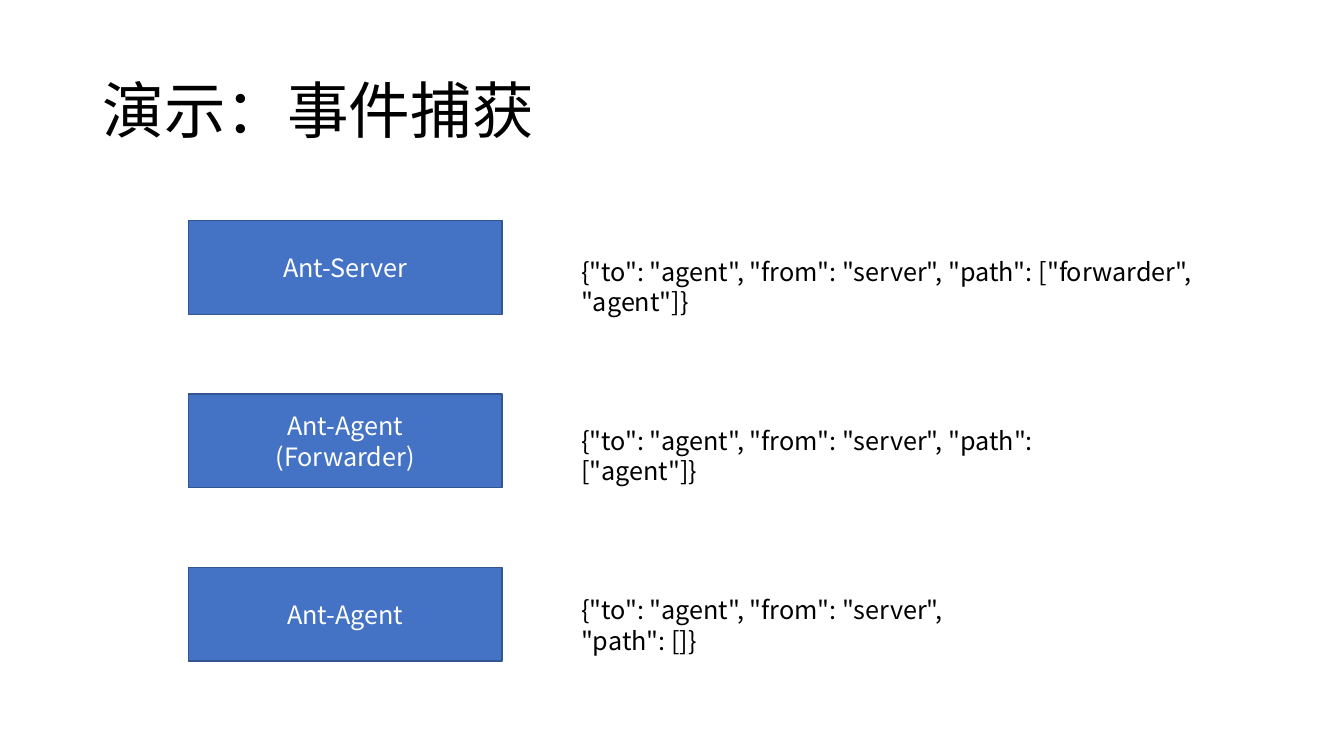
"""Build the event capture demo slide: three nodes and the message each one sees."""
from pptx import Presentation
from pptx.dml.color import RGBColor
from pptx.enum import shapes, text
from pptx.oxml.ns import qn
from pptx.util import Pt

TITLE = "演示：事件捕获"
HOPS = [
    (["Ant-Server"], '{"to": "agent", "from": "server", "path": ["forwarder", "agent"]}', 482),
    (["Ant-Agent", "(Forwarder)"], '{"to": "agent", "from": "server", "path": ["agent"]}', 384),
    (["Ant-Agent"], '{"to": "agent", "from": "server", "path": []}', 327),
]
FONT = "Noto Sans CJK SC"
COLORS = {"node": "4472C4", "edge": "325491", "ink": "000000", "light": "FFFFFF"}
NODE_LEFT, NODE_TOP, NODE_WIDTH, NODE_HEIGHT, NODE_STEP = 134.6, 157.5, 224, 67, 123.9
MESSAGE_LEFT, MESSAGE_TOP, MESSAGE_HEIGHT, MESSAGE_STEP = 408, 179.3, 29, 121


def color(name):
    return RGBColor.from_string(COLORS[name])


def write(shape, lines, size, ink, align, spacing):
    frame = shape.text_frame
    frame.word_wrap = True
    frame.text = "\n".join(lines)
    for paragraph in frame.paragraphs:
        paragraph.alignment = align
        paragraph.line_spacing = spacing
        paragraph.font.size = Pt(size)
        paragraph.font.name = FONT
        paragraph.font.color.rgb = color(ink)
        for run in paragraph.runs:
            east_asian = run.font._element.makeelement(qn("a:ea"), {"typeface": FONT})
            run.font._element.append(east_asian)
    return frame


deck = Presentation()
deck.slide_width, deck.slide_height = Pt(960), Pt(540)
slide = deck.slides.add_slide(deck.slide_layouts[5])

title = slide.shapes.title
title.left, title.top, title.width, title.height = Pt(66), Pt(28.75), Pt(828), Pt(104.4)
heading = write(title, [TITLE], 44, "ink", text.PP_ALIGN.LEFT, 0.9)
heading.vertical_anchor = text.MSO_ANCHOR.MIDDLE

for row, (labels, message, message_width) in enumerate(HOPS):
    node = slide.shapes.add_shape(
        shapes.MSO_SHAPE.RECTANGLE, Pt(NODE_LEFT), Pt(NODE_TOP + row * NODE_STEP),
        Pt(NODE_WIDTH), Pt(NODE_HEIGHT))
    node.shadow.inherit = False
    node.fill.solid()
    node.fill.fore_color.rgb = color("node")
    node.line.color.rgb = color("edge")
    node.line.width = Pt(1)
    label = write(node, labels, 18, "light", text.PP_ALIGN.CENTER, 1.0)
    label.vertical_anchor = text.MSO_ANCHOR.MIDDLE

    event = slide.shapes.add_textbox(
        Pt(MESSAGE_LEFT), Pt(MESSAGE_TOP + row * MESSAGE_STEP),
        Pt(message_width), Pt(MESSAGE_HEIGHT))
    write(event, [message], 18, "ink", text.PP_ALIGN.LEFT, 1.0)

deck.save("out.pptx")
